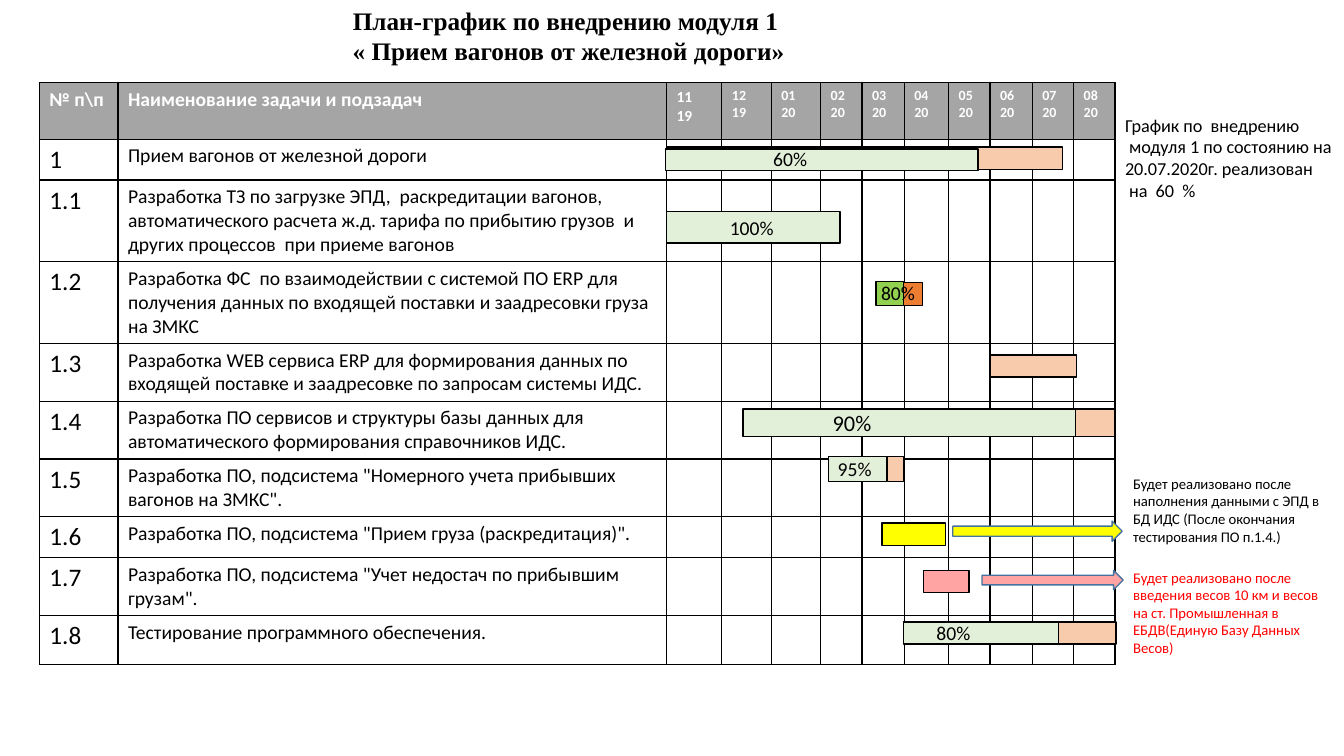
"""Build the rollout schedule slide for module 1: task table with Gantt bars and notes."""
import pptx
import pptx.util
import pptx.dml.color
import pptx.enum.shapes
import pptx.enum.text
import pptx.oxml
from pptx.util import Inches, Pt

COLORS = {
    "black": "000000", "white": "FFFFFF", "header": "A5A5A5", "red": "FF0000",
    "done": "E2F0D9", "left": "F8CBAD", "green": "92D050", "orange": "ED7D31",
    "yellow": "FFFF00", "pink": "FFA3A3", "arrow_line": "43739E",
}
RECTANGLE = pptx.enum.shapes.MSO_SHAPE.RECTANGLE
ARROW = pptx.enum.shapes.MSO_SHAPE.RIGHT_ARROW


def rgb(name):
    return pptx.dml.color.RGBColor.from_string(COLORS[name])


def write(text_frame, lines, size, color="black", bold=False, font="Calibri"):
    for index, line in enumerate(lines):
        paragraph = text_frame.paragraphs[0] if index == 0 else text_frame.add_paragraph()
        run = paragraph.add_run()
        run.text = line
        run.font.name = font
        run.font.size = Pt(size)
        run.font.bold = bold
        run.font.color.rgb = rgb(color)


presentation = pptx.Presentation()
presentation.slide_width = Inches(13.33)
presentation.slide_height = Inches(7.5)
slide = presentation.slides.add_slide(presentation.slide_layouts[5])

title = slide.shapes.title
title.left, title.top, title.width, title.height = map(Inches, (1.58, 0, 8.12, 0.71))
title.text_frame.auto_size = pptx.enum.text.MSO_AUTO_SIZE.NONE
title.text_frame.vertical_anchor = pptx.enum.text.MSO_ANCHOR.TOP
write(title.text_frame,
      ["План-график по внедрению модуля 1 ", "« Прием вагонов от железной дороги»"],
      18, bold=True, font="Times New Roman")
for paragraph in title.text_frame.paragraphs:
    paragraph.alignment = pptx.enum.text.PP_ALIGN.CENTER

months = [("11", "19"), ("12 19",), ("01", "20"), ("02", "20"), ("03", "20"),
          ("04", "20"), ("05", "20"), ("06", "20"), ("07", "20"), ("08 20",)]
tasks = [
    ("1", "Прием вагонов от железной дороги"),
    ("1.1", "Разработка ТЗ по загрузке ЭПД,  раскредитации вагонов, автоматического "
            "расчета ж.д. тарифа по прибытию грузов  и других процессов  при приеме вагонов"),
    ("1.2", "Разработка ФС  по взаимодействии с системой ПО ERP для получения данных "
            "по входящей поставки и заадресовки груза на ЗМКС"),
    ("1.3", "Разработка WEB сервиса ERP для формирования данных по входящей поставке "
            "и заадресовке по запросам системы ИДС."),
    ("1.4", "Разработка ПО сервисов и структуры базы данных для автоматического "
            "формирования справочников ИДС."),
    ("1.5", "Разработка ПО, подсистема \"Номерного учета прибывших вагонов на ЗМКС\"."),
    ("1.6", "Разработка ПО, подсистема \"Прием груза (раскредитация)\"."),
    ("1.7", "Разработка ПО, подсистема \"Учет недостач по прибывшим грузам\"."),
    ("1.8", "Тестирование программного обеспечения."),
]
column_widths = [0.78, 5.44, 0.55, 0.49, 0.49, 0.41, 0.42, 0.44, 0.41, 0.42, 0.41, 0.41]
row_heights = [0.56, 0.4, 0.8, 0.8, 0.57, 0.57, 0.57, 0.4, 0.57, 0.49]

table = slide.shapes.add_table(
    len(row_heights), len(column_widths), Inches(0.39), Inches(0.82),
    Inches(sum(column_widths)), Inches(sum(row_heights))).table
for column, width in zip(table.columns, column_widths):
    column.width = Inches(width)
for row, height in zip(table.rows, row_heights):
    row.height = Inches(height)

write(table.cell(0, 0).text_frame, ["№ п\\п"], 14, "white", True)
write(table.cell(0, 1).text_frame, ["Наименование задачи и подзадач"], 14, "white", True)
for index, month in enumerate(months):
    write(table.cell(0, index + 2).text_frame, month, 11 if index == 0 else 10, "white", True)
for index, (number, name) in enumerate(tasks, 1):
    write(table.cell(index, 0).text_frame, [number], 18)
    write(table.cell(index, 1).text_frame, [name], 14)

namespace = 'xmlns:a="http://schemas.openxmlformats.org/drawingml/2006/main"'
for row_index, row in enumerate(table.rows):
    for cell in row.cells:
        properties = cell._tc.get_or_add_tcPr()
        for side in ("lnL", "lnR", "lnT", "lnB"):
            properties.append(pptx.oxml.parse_xml(
                f'<a:{side} {namespace} w="12700"><a:solidFill>'
                f'<a:srgbClr val="{COLORS["black"]}"/></a:solidFill></a:{side}>'))
        if row_index == 0:
            cell.fill.solid()
            cell.fill.fore_color.rgb = rgb("header")
        else:
            cell.fill.background()

bars = [
    (RECTANGLE, 6.61, 1.46, 3.93, 0.22, "left"),
    (RECTANGLE, 6.6, 1.48, 3.1, 0.21, "done"),
    (RECTANGLE, 6.61, 2.1, 1.72, 0.31, "done"),
    (RECTANGLE, 8.69, 2.79, 0.27, 0.24, "green"),
    (RECTANGLE, 8.96, 2.8, 0.19, 0.23, "orange"),
    (RECTANGLE, 9.82, 3.52, 0.86, 0.22, "left"),
    (RECTANGLE, 8.74, 4.06, 2.32, 0.27, "left"),
    (RECTANGLE, 7.37, 4.06, 3.3, 0.27, "done"),
    (RECTANGLE, 8.8, 4.53, 0.16, 0.25, "left"),
    (RECTANGLE, 8.22, 4.53, 0.57, 0.25, "done"),
    (RECTANGLE, 8.75, 5.19, 0.63, 0.22, "yellow"),
    (RECTANGLE, 9.16, 5.66, 0.45, 0.22, "pink"),
    (RECTANGLE, 9.19, 6.17, 1.88, 0.22, "left"),
    (RECTANGLE, 8.96, 6.17, 1.54, 0.22, "done"),
    (ARROW, 9.45, 5.17, 1.68, 0.2, "yellow"),
    (ARROW, 9.74, 5.66, 1.4, 0.19, "pink"),
]
for kind, left, top, width, height, color in bars:
    shape = slide.shapes.add_shape(kind, Inches(left), Inches(top), Inches(width), Inches(height))
    shape.shadow.inherit = False
    shape.fill.solid()
    shape.fill.fore_color.rgb = rgb(color)
    shape.line.color.rgb = rgb("arrow_line" if kind == ARROW else "black")
    shape.line.width = Pt(1)

texts = [
    (7.57, 1.41, 0.54, 0.34, ["60%"], 14, "black", False),
    (7.14, 2.09, 0.64, 0.34, ["100%"], 14, "black", False),
    (8.64, 2.74, 0.54, 0.34, ["80%"], 14, "black", False),
    (8.16, 4.01, 0.59, 0.37, ["90%"], 16, "black", False),
    (8.21, 4.48, 0.63, 0.34, ["95%"], 14, "black", True),
    (9.19, 6.11, 0.63, 0.34, ["80%"], 14, "black", True),
    (11.06, 1.08, 2.27, 0.98,
     ["График по  внедрению", " модуля 1 по состоянию на", "20.07.2020г. реализован",
      " на  60  %"], 13, "black", False),
    (11.14, 4.66, 2.19, 0.81,
     ["Будет реализовано после наполнения данными с ЭПД в БД ИДС "
      "(После окончания тестирования ПО п.1.4.)"], 10.5, "black", True),
    (11.14, 5.59, 2.09, 0.98,
     ["Будет реализовано после введения весов 10 км и весов на ст. Промышленная "
      "в ЕБДВ(Единую Базу Данных Весов)"], 10.5, "red", True),
]
for left, top, width, height, lines, size, color, wrap in texts:
    box = slide.shapes.add_textbox(Inches(left), Inches(top), Inches(width), Inches(height))
    box.text_frame.word_wrap = wrap
    write(box.text_frame, lines, size, color)

presentation.save("out.pptx")
